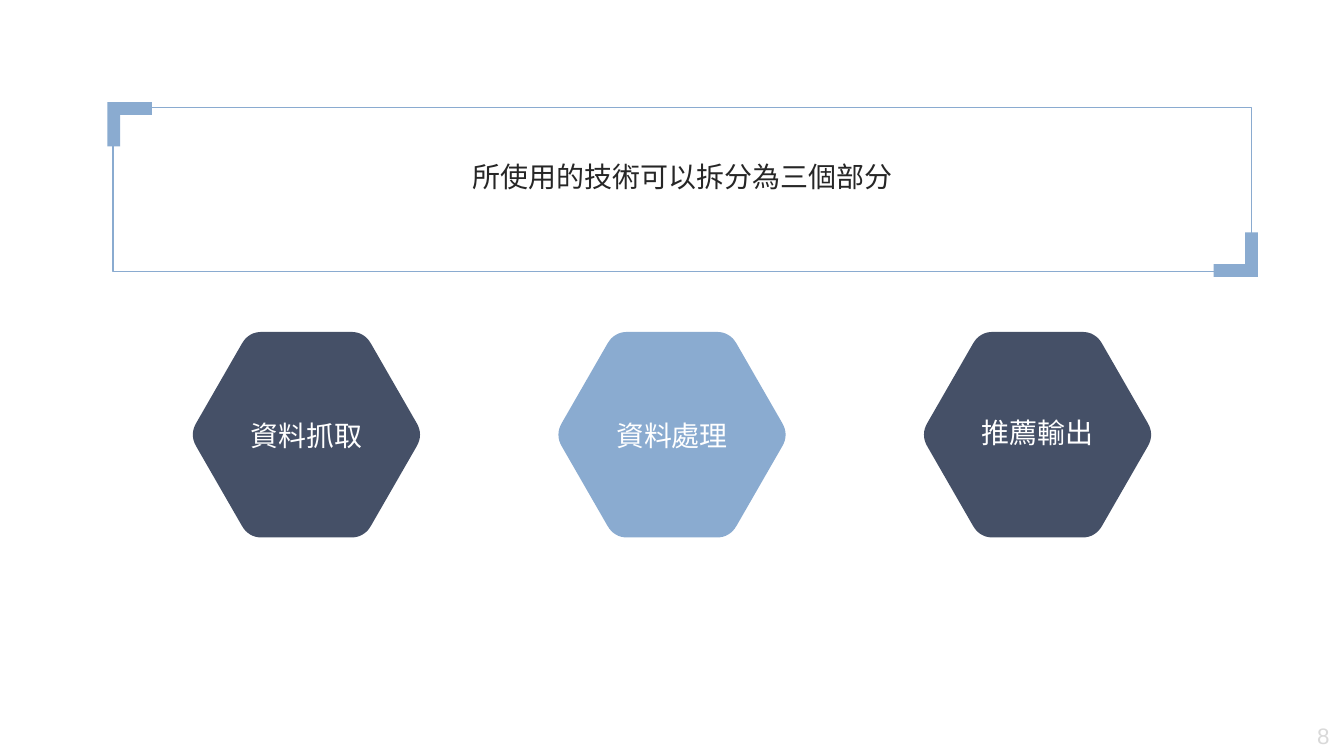
"""Build a slide with a framed statement above three labelled hexagons."""
from dataclasses import dataclass
from math import hypot

from pptx import Presentation, util as u
from pptx.dml.color import RGBColor
from pptx.enum import shapes, text

PX = 4572


@dataclass(frozen=True)
class Theme:
    font: str = "Arial"
    blue: str = "8AABD0"
    navy: str = "455067"
    ink: str = "262626"
    white: str = "FFFFFF"
    pale: str = "D9D9D9"
    body: int = 15
    small: int = 12
    hairline: float = 0.75


class Deck:
    def __init__(self, prs, theme):
        self.theme = theme
        self.s = prs.slides.add_slide(prs.slide_layouts[6])

    def frame(self, x, y, w, h):
        sp = self.s.shapes.add_shape(
            shapes.MSO_SHAPE.ROUNDED_RECTANGLE, *(v * PX for v in (x, y, w, h)))
        sp.adjustments[0] = 0
        sp.shadow.inherit = False
        sp.fill.background()
        sp.line.color.rgb = RGBColor.from_string(self.theme.blue)
        sp.line.width = u.Pt(self.theme.hairline)

    def outline(self, points, color):
        points = [(x * PX, y * PX) for x, y in points]
        builder = self.s.shapes.build_freeform(*points[0])
        builder.add_line_segments(points[1:])
        sp = builder.convert_to_shape()
        sp.shadow.inherit = False
        sp.fill.solid()
        sp.fill.fore_color.rgb = RGBColor.from_string(color)
        sp.line.fill.background()
        return sp

    def corner(self, x, y, rotation=0, size=66, thick=19):
        steps = [(0, 0), (size, 0), (size, thick), (thick, thick), (thick, size), (0, size)]
        sp = self.outline([(x + dx, y + dy) for dx, dy in steps], self.theme.blue)
        sp.rotation = rotation

    def hexagon(self, cx, cy, color, radius=20, steps=8):
        vertices = [(174, 0), (86, 153), (-86, 153), (-174, 0), (-86, -153), (86, -153)]
        points = []
        for i, (vx, vy) in enumerate(vertices):
            ends = []
            for nx, ny in (vertices[i - 1], vertices[(i + 1) % 6]):
                k = radius / hypot(nx - vx, ny - vy)
                ends.append((vx + (nx - vx) * k, vy + (ny - vy) * k))
            (ax, ay), (bx, by) = ends
            for n in range(steps + 1):
                t = n / steps
                a, v, b = (1 - t) ** 2, 2 * t * (1 - t), t ** 2
                points.append((cx + a * ax + v * vx + b * bx,
                               cy + a * ay + v * vy + b * by))
        self.outline(points, color)

    def label(self, words, x, y, w, h, size, color,
              align=text.PP_ALIGN.CENTER, anchor=text.MSO_ANCHOR.TOP):
        tf = self.s.shapes.add_textbox(*(v * PX for v in (x, y, w, h))).text_frame
        tf.word_wrap = True
        tf.vertical_anchor = anchor
        tf.text = words
        p = tf.paragraphs[0]
        p.alignment = align
        r = p.runs[0]
        r.font.name = self.theme.font
        r.font.size = u.Pt(size)
        r.font.color.rgb = RGBColor.from_string(color)


def main():
    prs = Presentation()
    prs.slide_width, prs.slide_height = 2000 * PX, 1125 * PX
    theme = Theme()
    deck = Deck(prs, theme)

    deck.frame(168, 160, 1694, 244)
    deck.corner(160, 152)
    deck.corner(1806, 346, rotation=180)
    deck.label("所使用的技術可以拆分為三個部分", 209, 228, 1614, 110, theme.body, theme.ink)

    parts = [("資料抓取", theme.navy, 613), ("資料處理", theme.blue, 613),
             ("推薦輸出", theme.navy, 608)]
    for i, (words, color, top) in enumerate(parts):
        cx = 456 + i * 544
        deck.hexagon(cx, 647, color)
        deck.label(words, cx - 119, top, 238, 70, theme.body, theme.white)

    deck.label("8", 1548, 1065, 450, 60, theme.small, theme.pale,
               text.PP_ALIGN.RIGHT, text.MSO_ANCHOR.MIDDLE)
    prs.save("out.pptx")


if __name__ == "__main__":
    main()
